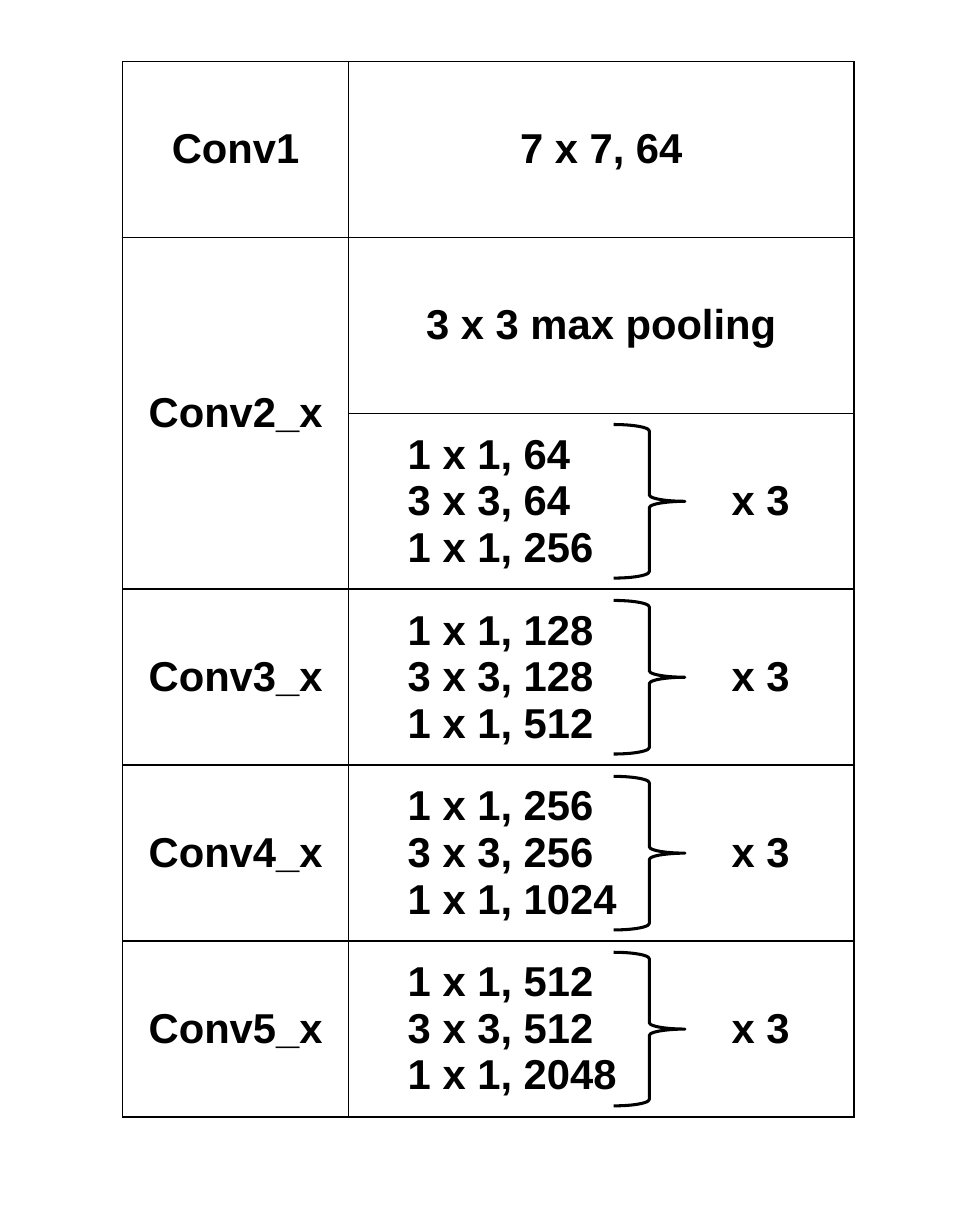
from lxml.etree import SubElement
from pptx import Presentation
from pptx.dml.color import RGBColor
from pptx.enum.shapes import MSO_SHAPE
from pptx.enum.text import MSO_ANCHOR, PP_ALIGN
from pptx.oxml.ns import qn
from pptx.util import Pt

COLORS = {"ink": "000000"}
INK = RGBColor.from_string(COLORS["ink"])
FONT = {"name": "Arial", "size": Pt(24), "bold": True}

SLIDE_WIDTH, SLIDE_HEIGHT = 563, 708.5
TABLE_BOX = (70.5, 35.4, 420.5, 607)
NAME_WIDTH = 130
BLOCK_INDENT = 34
REPEAT_TAB = 186.3
BRACE_LEFT, BRACE_WIDTH, BRACE_INSET = 282.4, 41, 6.4

LAYERS = [
    ("Conv1", ["7 x 7, 64"]),
    ("Conv2_x", ["3 x 3 max pooling"]),
    ("", ["1 x 1, 64", "3 x 3, 64\tx 3", "1 x 1, 256"]),
    ("Conv3_x", ["1 x 1, 128", "3 x 3, 128\tx 3", "1 x 1, 512"]),
    ("Conv4_x", ["1 x 1, 256", "3 x 3, 256\tx 3", "1 x 1, 1024"]),
    ("Conv5_x", ["1 x 1, 512", "3 x 3, 512\tx 3", "1 x 1, 2048"]),
]


def set_borders(cell):
    properties = cell._tc.get_or_add_tcPr()
    for position, side in enumerate(("a:lnL", "a:lnR", "a:lnT", "a:lnB")):
        line = SubElement(properties, qn(side), w=str(Pt(1)))
        properties.remove(line)
        properties.insert(position, line)
        fill = SubElement(line, qn("a:solidFill"))
        SubElement(fill, qn("a:srgbClr"), val=COLORS["ink"])


def add_repeat_tab(paragraph):
    tabs = SubElement(paragraph._p.get_or_add_pPr(), qn("a:tabLst"))
    SubElement(tabs, qn("a:tab"), pos=str(Pt(REPEAT_TAB)), algn="l")


def write_cell(cell, lines):
    is_block = len(lines) > 1
    cell.fill.background()
    set_borders(cell)
    cell.vertical_anchor = MSO_ANCHOR.MIDDLE
    if is_block:
        cell.margin_left = Pt(BLOCK_INDENT)
    cell.text_frame.text = "\n".join(lines)
    for paragraph in cell.text_frame.paragraphs:
        paragraph.alignment = PP_ALIGN.LEFT if is_block else PP_ALIGN.CENTER
        if is_block:
            add_repeat_tab(paragraph)
        for font in [paragraph.font] + [run.font for run in paragraph.runs]:
            for attribute, value in FONT.items():
                setattr(font, attribute, value)
            font.color.rgb = INK


def add_layer_table(slide, box):
    left, top, width, height = box
    frame = slide.shapes.add_table(len(LAYERS), 2, *map(Pt, box))
    table = frame.table
    table.first_row = table.horz_banding = False
    table.columns[0].width = Pt(NAME_WIDTH)
    table.columns[1].width = Pt(width - NAME_WIDTH)
    for row, (name, lines) in enumerate(LAYERS):
        table.rows[row].height = Pt(height / len(LAYERS))
        write_cell(table.cell(row, 0), [name])
        write_cell(table.cell(row, 1), lines)
        if not name:
            table.cell(row - 1, 0).merge(table.cell(row, 0))


def add_braces(slide, box):
    left, top, width, height = box
    row_height = height / len(LAYERS)
    for row, (name, lines) in enumerate(LAYERS):
        if len(lines) == 1:
            continue
        brace = slide.shapes.add_shape(
            MSO_SHAPE.RIGHT_BRACE,
            Pt(left + BRACE_LEFT),
            Pt(top + row * row_height + BRACE_INSET),
            Pt(BRACE_WIDTH),
            Pt(row_height - 2 * BRACE_INSET),
        )
        brace.adjustments[0] = 0.09
        brace.shadow.inherit = False
        brace.fill.background()
        brace.line.color.rgb = INK
        brace.line.width = Pt(1.75)


def main():
    presentation = Presentation()
    presentation.slide_width = Pt(SLIDE_WIDTH)
    presentation.slide_height = Pt(SLIDE_HEIGHT)
    slide = presentation.slides.add_slide(presentation.slide_layouts[6])
    add_layer_table(slide, TABLE_BOX)
    add_braces(slide, TABLE_BOX)
    presentation.save("out.pptx")


if __name__ == "__main__":
    main()
